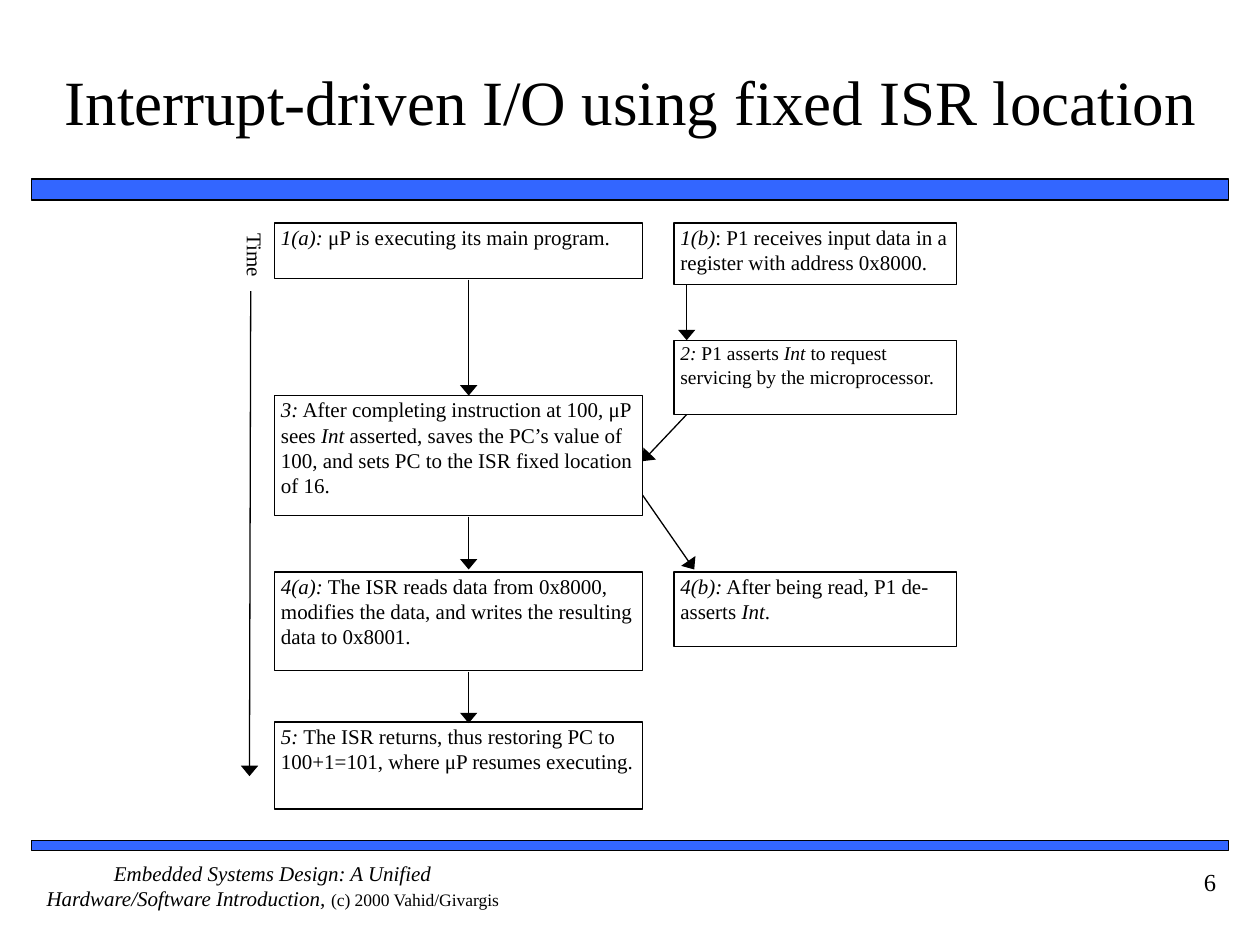
"""Build a slide with the timeline of interrupt-driven I/O using a fixed ISR location."""
from dataclasses import dataclass

from lxml.etree import SubElement
from pptx import Presentation
from pptx.dml.color import RGBColor
from pptx.enum.shapes import MSO_CONNECTOR as Connector, MSO_SHAPE as Shape
from pptx.enum.text import MSO_ANCHOR as Anchor, PP_ALIGN as Align
from pptx.oxml.ns import qn
from pptx.util import Inches, Pt


@dataclass(frozen=True)
class Theme:
    """Colours, font and type sizes of the slide."""
    font: str = "Times New Roman"
    ink: RGBColor = RGBColor(0, 0, 0)
    bar: RGBColor = RGBColor(0x33, 0x66, 0xFF)
    title: float = 36
    number: float = 14
    body: float = 12
    tight: float = 11.1
    small: float = 10
    line: float = 0.75
    bar_line: float = 1


THEME = Theme()
TITLE = "Interrupt-driven I/O using fixed ISR location"
FOOTER = "*Embedded Systems Design: A Unified Hardware/Software Introduction, *"
COPYRIGHT = "(c) 2000 Vahid/Givargis"
BARS = [(1.42, 0.17), (6.67, 0.08)]
COLUMNS = {"processor": (2.18, 2.92), "peripheral": (5.35, 2.24)}
STEPS = [
    ("processor", 1.77, 0.44, THEME.body, "*1(a):* μP is executing its main program."),
    ("peripheral", 1.77, 0.49, THEME.body,
     "*1(b)*: P1 receives input data in a register with address 0x8000."),
    ("peripheral", 2.7, 0.59, THEME.tight,
     "*2:* P1 asserts *Int* to request servicing by the microprocessor."),
    ("processor", 3.14, 0.95, THEME.body,
     "*3:* After completing instruction at 100, μP sees *Int* asserted, saves the PC’s "
     "value of 100, and sets PC to the ISR fixed location of 16."),
    ("processor", 4.54, 0.78, THEME.body,
     "*4(a):* The ISR reads data from 0x8000, modifies the data, and writes the "
     "resulting data to 0x8001."),
    ("peripheral", 4.54, 0.59, THEME.body, "*4(b):* After being read, P1 de-asserts *Int*."),
    ("processor", 5.73, 0.69, THEME.body,
     "*5:* The ISR returns, thus restoring PC to 100+1=101, where μP resumes executing."),
]
PROCESSOR_AXIS, PERIPHERAL_AXIS, PROCESSOR_EDGE = 3.72, 5.45, 5.1
ARROWS = [
    (PROCESSOR_AXIS, 2.22, PROCESSOR_AXIS, 3.14),
    (PROCESSOR_AXIS, 4.1, PROCESSOR_AXIS, 4.52),
    (PROCESSOR_AXIS, 5.33, PROCESSOR_AXIS, 5.74),
    (PERIPHERAL_AXIS, 2.26, PERIPHERAL_AXIS, 2.7),
    (PERIPHERAL_AXIS, 3.29, PROCESSOR_EDGE, 3.66),
    (PROCESSOR_EDGE, 3.93, 5.51, 4.52),
    (1.99, 2.31, 1.98, 6.16),
]


def write(shape, text, size=THEME.body, align=Align.LEFT, anchor=Anchor.TOP, margins=(0, 0)):
    """Add text to a shape, with italics between asterisks."""
    frame = shape.text_frame
    frame.word_wrap = True
    frame.vertical_anchor = anchor
    frame.margin_left = frame.margin_right = Inches(margins[0])
    frame.margin_top = frame.margin_bottom = Inches(margins[1])
    paragraph = frame.paragraphs[0]
    paragraph.alignment = align
    for index, part in enumerate(text.split("*")):
        if part:
            run = paragraph.add_run()
            run.text = part
            run.font.name = THEME.font
            run.font.size = Pt(size)
            run.font.italic = index % 2 == 1
            run.font.color.rgb = THEME.ink


def add_text(slide, box, text, **style):
    """Add a text box and return it."""
    shape = slide.shapes.add_textbox(*map(Inches, box))
    write(shape, text, **style)
    return shape


def add_box(slide, box, fill=None, width=THEME.line):
    """Add an outlined rectangle and return it."""
    shape = slide.shapes.add_shape(Shape.RECTANGLE, *map(Inches, box))
    shape.shadow.inherit = False
    if fill is None:
        shape.fill.background()
    else:
        shape.fill.solid()
        shape.fill.fore_color.rgb = fill
    shape.line.color.rgb = THEME.ink
    shape.line.width = Pt(width)
    return shape


def add_arrow(slide, points):
    """Add a line with a wide triangular head at its end."""
    arrow = slide.shapes.add_connector(Connector.STRAIGHT, *map(Inches, points))
    arrow.line.color.rgb = THEME.ink
    arrow.line.width = Pt(THEME.line)
    SubElement(arrow.line._get_or_add_ln(), qn("a:tailEnd"), type="triangle", w="lg", len="med")
    SubElement(arrow._element.spPr, qn("a:effectLst"))


def main():
    """Create and save the presentation."""
    presentation = Presentation()
    presentation.slide_width, presentation.slide_height = Inches(10), Inches(7.5)
    slide = presentation.slides.add_slide(presentation.slide_layouts[6])

    for top, height in BARS:
        add_box(slide, (0.25, top, 9.5, height), THEME.bar, THEME.bar_line)
    add_text(slide, (0.42, 0.17, 9.17, 1.25), TITLE, size=THEME.title,
             align=Align.CENTER, anchor=Anchor.MIDDLE, margins=(0, 0.05))
    footer = add_text(slide, (0.25, 6.83, 3.83, 0.5), FOOTER, align=Align.CENTER)
    write(footer, COPYRIGHT, size=THEME.small, align=Align.CENTER)
    add_text(slide, (8.75, 6.83, 1, 0.5), "6", size=THEME.number,
             align=Align.RIGHT, margins=(0.1, 0.05))

    for column, top, height, size, text in STEPS:
        left, width = COLUMNS[column]
        step = add_box(slide, (left, top, width, height))
        write(step, text, size=size, margins=(0.05, 0.01))
    for points in ARROWS:
        add_arrow(slide, points)
    add_text(slide, (1.76, 1.9, 0.41, 0.32), "Time").rotation = 90

    presentation.save("out.pptx")


if __name__ == "__main__":
    main()
